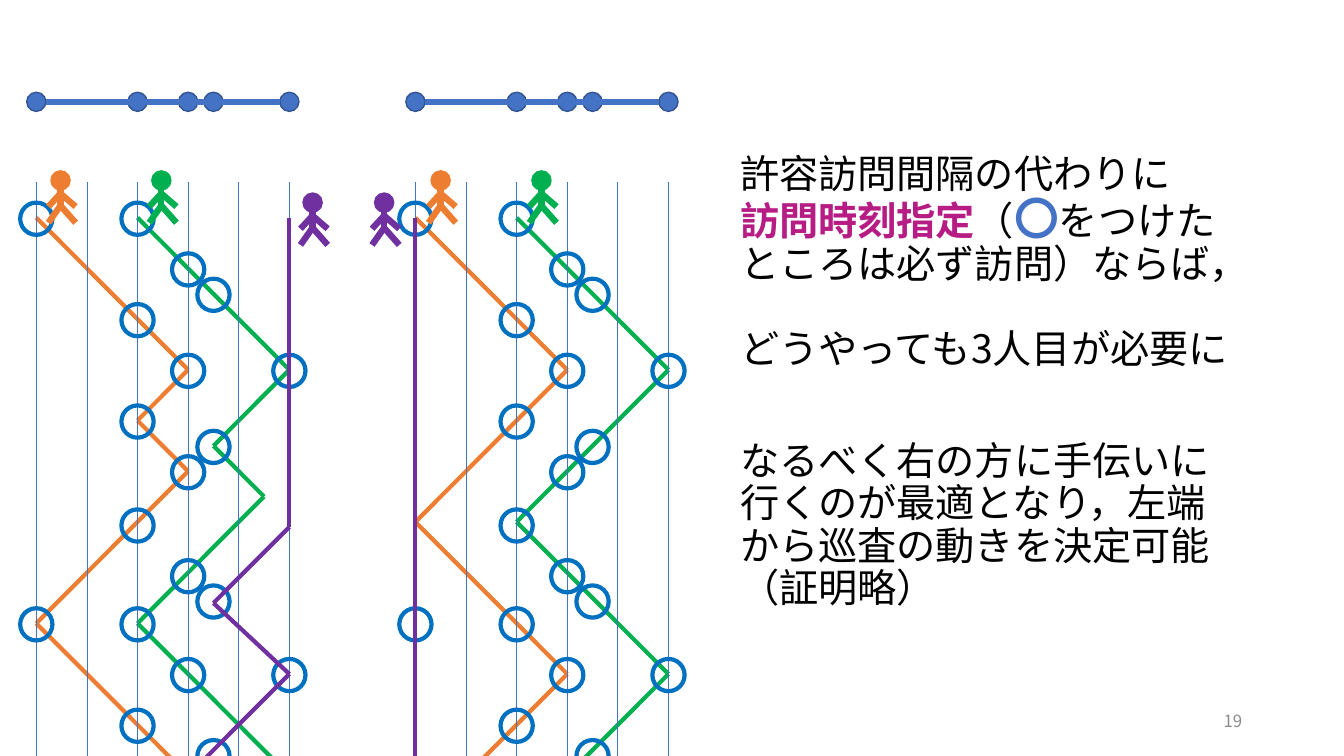
from dataclasses import dataclass
from itertools import pairwise
from typing import Any

from pptx import Presentation
from pptx import util as u
from pptx.dml.color import RGBColor
from pptx.enum import shapes, text
from pptx.oxml import ns, xmlchemy as xc

BLUE = RGBColor(0x44, 0x72, 0xC4)
EDGE = RGBColor(0x32, 0x54, 0x91)
RING = RGBColor(0x00, 0x70, 0xC0)
ORANGE = RGBColor(0xED, 0x7D, 0x31)
GREEN = RGBColor(0x00, 0xB0, 0x50)
PURPLE = RGBColor(0x70, 0x30, 0xA0)
PINK = RGBColor(0xB6, 0x1C, 0x83)
BLACK = RGBColor(0x00, 0x00, 0x00)
GRAY = RGBColor(0x8C, 0x8C, 0x8C)
FONT = "Noto Sans CJK JP"

# Columns are places on the road, rows are time steps
TOP, STEP, COL = 2.16, 0.503, 0.502
SITES = (0, 2, 3, 3.5, 5)
MARKS = {
    0: (0, 8),
    2: (0, 2, 4, 6.05, 8, 10),
    3: (1, 3, 5, 7.05, 9),
    3.5: (1.5, 4.5, 7.55, 10.6),
    5: (3, 9),
}
LIMBS = (
    (0, 0.19, 0, 0.36),
    (0, 0.35, 0.15, 0.52),
    (0, 0.23, 0.15, 0.36),
    (0, 0.23, -0.12, 0.36),
    (0, 0.35, -0.12, 0.52),
)


@dataclass
class Route:
    color: RGBColor
    stops: tuple[tuple[float, float], ...]


@dataclass
class Panel:
    left: float
    routes: tuple[Route, ...]
    helper: Route

    def at(self, col: float, row: float) -> tuple[float, float]:
        return self.left + col * COL, TOP + row * STEP


@dataclass
class Walker:
    x: float
    top: float
    color: RGBColor


@dataclass
class Run:
    words: str
    color: RGBColor = BLACK
    size: int = 28
    bold: bool = False


PANELS = (
    Panel(0.36, (
        Route(ORANGE, ((0, 0), (3, 3), (2, 4), (3, 5), (0, 8), (3, 11))),
        Route(GREEN, ((2, 0), (5, 3), (3.5, 4.5), (4.5, 5.5), (2, 8), (5, 11))),
    ), Route(PURPLE, ((5, 0), (5, 6.1), (3.5, 7.6), (5, 9), (3, 11)))),
    Panel(4.12, (
        Route(ORANGE, ((0, 0), (3, 3), (0, 6), (3, 9), (0, 12))),
        Route(GREEN, ((2, 0), (5, 3), (2, 6), (5, 9), (2, 12))),
    ), Route(PURPLE, ((0, 0), (0, 11)))),
)
WALKERS = (
    Walker(3.1, 1.91, PURPLE), Walker(3.81, 1.91, PURPLE),
    Walker(0.6, 1.69, ORANGE), Walker(1.6, 1.69, GREEN),
    Walker(4.37, 1.69, ORANGE), Walker(5.37, 1.69, GREEN),
)
# Each paragraph: space before in points, then its runs
PARAS = (
    (0, (Run("許容訪問間隔の代わりに\v"), Run("訪問時刻指定", PINK, bold=True),
         Run("（"), Run("〇", BLUE, 32, True),
         Run("をつけたところは必ず訪問）ならば，"))),
    (30, (Run("どうやっても3人目が必要に"),)),
    (50, (Run("なるべく右の方に手伝いに行くのが最適となり，"
              "左端から巡査の動きを決定可能（証明略）"),)),
)


def line(pool: Any, x1: float, y1: float, x2: float, y2: float,
         color: RGBColor, width: float) -> None:
    ends = [u.Inches(v) for v in (x1, y1, x2, y2)]
    item = pool.add_connector(shapes.MSO_CONNECTOR.STRAIGHT, *ends)
    item.line.color.rgb = color
    item.line.width = u.Pt(width)
    xc.OxmlElement("a:effectLst")
    item._element.spPr.append(xc.OxmlElement("a:effectLst"))


def disc(pool: Any, x: float, y: float, size: float, edge: RGBColor,
         width: float, fill: RGBColor | None = None) -> None:
    box = [u.Inches(v) for v in (x - size / 2, y - size / 2, size, size)]
    item = pool.add_shape(shapes.MSO_SHAPE.OVAL, *box)
    item.shadow.inherit = False
    item.line.color.rgb = edge
    item.line.width = u.Pt(width)
    if fill is None:
        item.fill.background()
    else:
        item.fill.solid()
        item.fill.fore_color.rgb = fill


def trace(pool: Any, panel: Panel, route: Route) -> None:
    for a, b in pairwise(route.stops):
        line(pool, *panel.at(*a), *panel.at(*b), route.color, 3)


def grid(pool: Any, panel: Panel) -> None:
    group = pool.add_group_shape().shapes
    for col in range(6):
        x = panel.at(col, 0)[0]
        line(group, x, 1.81, x, 7.91, BLUE, 0.5)
    for col in SITES:
        disc(group, panel.at(col, 0)[0], 1.01, 0.19, EDGE, 1, BLUE)


def person(pool: Any, who: Walker) -> None:
    group = pool.add_group_shape().shapes
    disc(group, who.x, who.top + 0.1, 0.19, who.color, 1, who.color)
    for x1, y1, x2, y2 in LIMBS:
        line(group, who.x + x1, who.top + y1, who.x + x2, who.top + y2,
             who.color, 4.5)


def write(para: Any, run: Run) -> None:
    # A vertical tab in the words stands for a line break
    head, cut, _ = run.words.partition("\v")
    item = para.add_run()
    item.text = head
    form = {"name": FONT, "size": u.Pt(run.size), "bold": run.bold}
    for key, val in form.items():
        setattr(item.font, key, val)
    item.font.color.rgb = run.color
    east = xc.OxmlElement("a:ea")
    east.set("typeface", FONT)
    item.font._element.find(ns.qn("a:latin")).addnext(east)
    if cut:
        para.add_line_break()


def place(item: Any, *box: float) -> None:
    for key, val in zip(("left", "top", "width", "height"), box):
        setattr(item, key, u.Inches(val))


def prose(body: Any) -> None:
    place(body, 7.24, 1.48, 5.18, 5.47)
    frame = body.text_frame
    form = {"word_wrap": True, "auto_size": text.MSO_AUTO_SIZE.NONE,
            "vertical_anchor": text.MSO_ANCHOR.TOP}
    for key, val in form.items():
        setattr(frame, key, val)
    for i, (gap, runs) in enumerate(PARAS):
        para = frame.add_paragraph() if i else frame.paragraphs[0]
        props = para._p.get_or_add_pPr()
        for key in ("marL", "indent"):
            props.set(key, "0")
        props.append(xc.OxmlElement("a:buNone"))
        para.line_spacing = 0.9
        para.space_before = u.Pt(gap)
        for run in runs:
            write(para, run)


def main() -> None:
    deck = Presentation()
    deck.slide_width, deck.slide_height = u.Inches(13.33), u.Inches(7.5)
    slide = deck.slides.add_slide(deck.slide_layouts[1])
    pool = slide.shapes
    title = pool.title._element
    title.getparent().remove(title)

    # Routes of the two main walkers, roads and visit marks
    for panel in PANELS:
        for route in panel.routes:
            trace(pool, panel, route)
    for panel in PANELS:
        grid(pool, panel)
        for col, rows in MARKS.items():
            for row in rows:
                x, y = panel.at(col, row)
                disc(pool, x, y + 0.01, 0.32, RING, 3)

    # Helper routes, walkers and road lines
    for panel in PANELS:
        trace(pool, panel, panel.helper)
        line(pool, panel.left + 0.1, 1.01, panel.left + 2.42, 1.01, BLUE, 4.5)
    for who in WALKERS:
        person(pool, who)

    # Explanation and slide number
    prose(slide.placeholders[1])
    number = pool.add_textbox(0, 0, 0, 0)
    place(number, 9.42, 6.95, 3, 0.4)
    number.text_frame.word_wrap = True
    number.text_frame.vertical_anchor = text.MSO_ANCHOR.MIDDLE
    para = number.text_frame.paragraphs[0]
    para.alignment = text.PP_ALIGN.RIGHT
    write(para, Run("19", GRAY, 12))
    deck.save("out.pptx")


if __name__ == "__main__":
    main()
